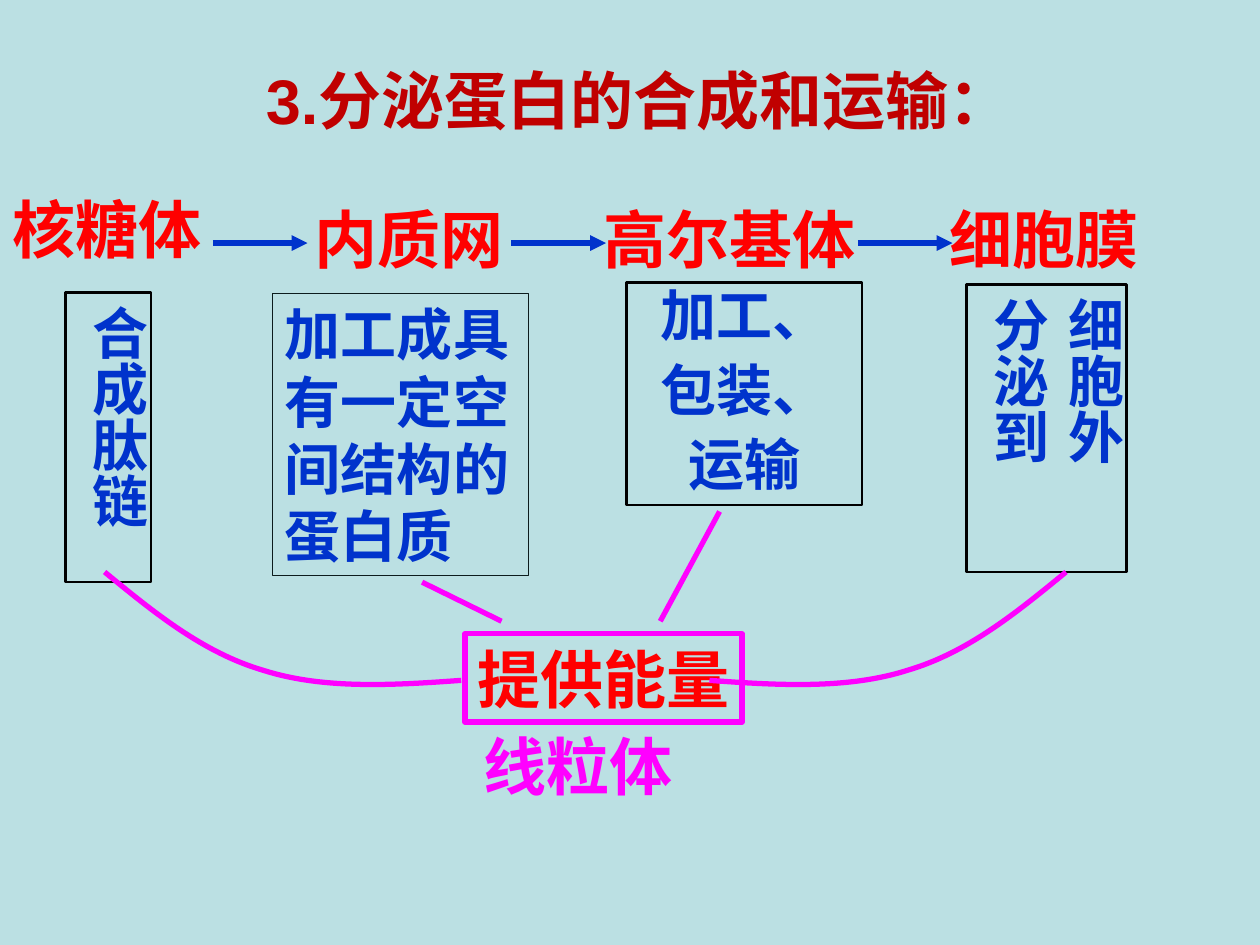
from dataclasses import dataclass

from pptx import Presentation
from pptx.dml.color import RGBColor
from pptx.enum.shapes import MSO_CONNECTOR, MSO_SHAPE
from pptx.enum.text import MSO_ANCHOR, PP_ALIGN
from pptx.oxml.ns import qn
from pptx.oxml.xmlchemy import OxmlElement
from pptx.util import Pt

LINE = MSO_CONNECTOR.STRAIGHT
RECT = MSO_SHAPE.RECTANGLE
TOP = MSO_ANCHOR.TOP
LEFT, MID = PP_ALIGN.LEFT, PP_ALIGN.CENTER


@dataclass(frozen=True)
class Theme:
    back: str = "BBE0E3"
    title: str = "C00000"
    red: str = "FF0000"
    blue: str = "0033CC"
    pink: str = "FF00FF"
    black: str = "000000"
    dark: str = "0C1C1D"
    large: int = 36
    small: int = 32
    serif: str = "Times New Roman"
    sans: str = "Arial"
    han: str = "Noto Sans CJK SC"


T = Theme()


def rgb(code):
    return RGBColor.from_string(code)


def write(shape, text, color, size=T.large, face=T.serif, align=LEFT,
          lead=None, gap=0, wrap=True, upright=False):
    frame = shape.text_frame
    frame.word_wrap = wrap
    frame.vertical_anchor = TOP
    pads = (3.6, 7.2) if upright else (7.2, 3.6)
    frame.margin_left = frame.margin_right = Pt(pads[0])
    frame.margin_top = frame.margin_bottom = Pt(pads[1])
    if upright:
        frame._txBody.bodyPr.set("vert", "eaVert")
    frame.text = text
    for i, para in enumerate(frame.paragraphs):
        para.alignment = align
        para.line_spacing = lead
        para.space_before = Pt(gap if i else 0)
        for run in para.runs:
            font = run.font
            font.name, font.size, font.bold = face, Pt(size), True
            font.color.rgb = rgb(color)
            east = OxmlElement("a:ea")
            east.set("typeface", T.han)
            run._r.rPr.find(qn("a:latin")).addnext(east)


def label(slide, box, text, color):
    shape = slide.shapes.add_textbox(*map(Pt, box))
    write(shape, text, color, lead=0.9)


def frame(slide, box, color, width):
    shape = slide.shapes.add_shape(RECT, *map(Pt, box))
    shape.shadow.inherit = False
    shape.fill.background()
    shape.line.color.rgb = rgb(color)
    shape.line.width = Pt(width)
    return shape


def link(slide, ends, color, arrow=False):
    line = slide.shapes.add_connector(LINE, *map(Pt, ends))
    line.line.color.rgb = rgb(color)
    line.line.width = Pt(3)
    props = line._element.spPr
    if arrow:
        tail = OxmlElement("a:tailEnd")
        tail.set("type", "triangle")
        props.find(qn("a:ln")).append(tail)
    props.append(OxmlElement("a:effectLst"))


def curve(slide, points):
    first, *rest = [(Pt(x), Pt(y)) for x, y in points]
    form = slide.shapes.build_freeform(*first)
    form.add_line_segments(rest, close=False)
    shape = form.convert_to_shape()
    shape.shadow.inherit = False
    shape.fill.background()
    shape.line.color.rgb = rgb(T.pink)
    shape.line.width = Pt(3)
    parts = list(shape._element.iter(qn("a:lnTo")))
    for i in range(0, len(parts), 3):
        bend = OxmlElement("a:cubicBezTo")
        parts[i].addprevious(bend)
        for part in parts[i:i + 3]:
            bend.append(part[0])
            part.getparent().remove(part)


def heading(slide, box):
    title = slide.shapes.title
    title.left, title.top, title.width, title.height = map(Pt, box)
    write(title, "3.分泌蛋白的合成和运输：", T.title, face=T.sans)


def chain(slide, box):
    left, top, _, high = box
    steps = (("核糖体", 0, -5.8, 150), ("内质网", 172.8, 0, 150),
             ("高尔基体", 337.7, 0, 194), ("细胞膜", 535.7, 0, 150))
    for text, x, y, wide in steps:
        label(slide, (left + x, top + y, wide, high), text, T.red)
    level = top + high / 2
    for x in (121.7, 292.3, 490.3):
        link(slide, (left + x, level, left + x + 54, level), T.blue, arrow=True)


def notes(slide, box):
    left, top, _, _ = box
    items = (
        ("合成肽链", (0, 5.8, 49, 165.6), T.black, 1.5,
         dict(lead=0.9, align=MID, upright=True)),
        ("加工成具有一定空间结构的蛋白质", (118.4, 6.5, 146.2, 161.3), T.dark, 0.75,
         dict(face=T.han)),
        ("加工、\n包装、\n运输", (320.6, 0, 134.6, 127.4), T.black, 1.5,
         dict(lead=0.9, gap=8, align=MID)),
        ("细胞外\n分泌到", (515, 1.4, 91.4, 164.2), T.black, 1.5,
         dict(lead=0.9, gap=8, align=MID, upright=True)),
    )
    for text, (x, y, wide, high), edge, width, form in items:
        shape = frame(slide, (left + x, top + y, wide, high), edge, width)
        write(shape, text, T.blue, T.small, **form)


def energy(slide, box):
    left, top, wide, _ = box
    label(slide, (left + 209.5, top + 90, 150, 46), "线粒体", T.pink)
    core = frame(slide, (left + 205.9, top + 35.3, 158.4, 50.4), T.pink, 3)
    write(core, "提供能量", T.red, face=T.sans, wrap=False)
    bend = ((203.8, 61.9), (164.2, 64.8), (124.6, 67), (90.7, 56.2),
            (56.2, 46.1), (28.1, 23), (0, 0))
    curve(slide, [(left + x, top + y) for x, y in bend])
    curve(slide, [(left + wide - x, top + y) for x, y in bend])
    for a, b, c, d in ((181.4, 5.8, 226.8, 28.1), (351.4, -34.6, 317.5, 28.1)):
        link(slide, (left + a, top + b, left + c, top + d), T.pink)


def main():
    deck = Presentation()
    deck.slide_width, deck.slide_height = Pt(720), Pt(540)
    slide = deck.slides.add_slide(deck.slide_layouts[5])
    slide.background.fill.solid()
    slide.background.fill.fore_color.rgb = rgb(T.back)
    heading(slide, (144.7, 31.7, 476, 50.4))
    chain(slide, (0, 115.9, 720, 46))
    notes(slide, (37.4, 161.3, 606.4, 171.4))
    energy(slide, (59.8, 326.9, 549.4, 136))
    deck.save("out.pptx")


if __name__ == "__main__":
    main()
